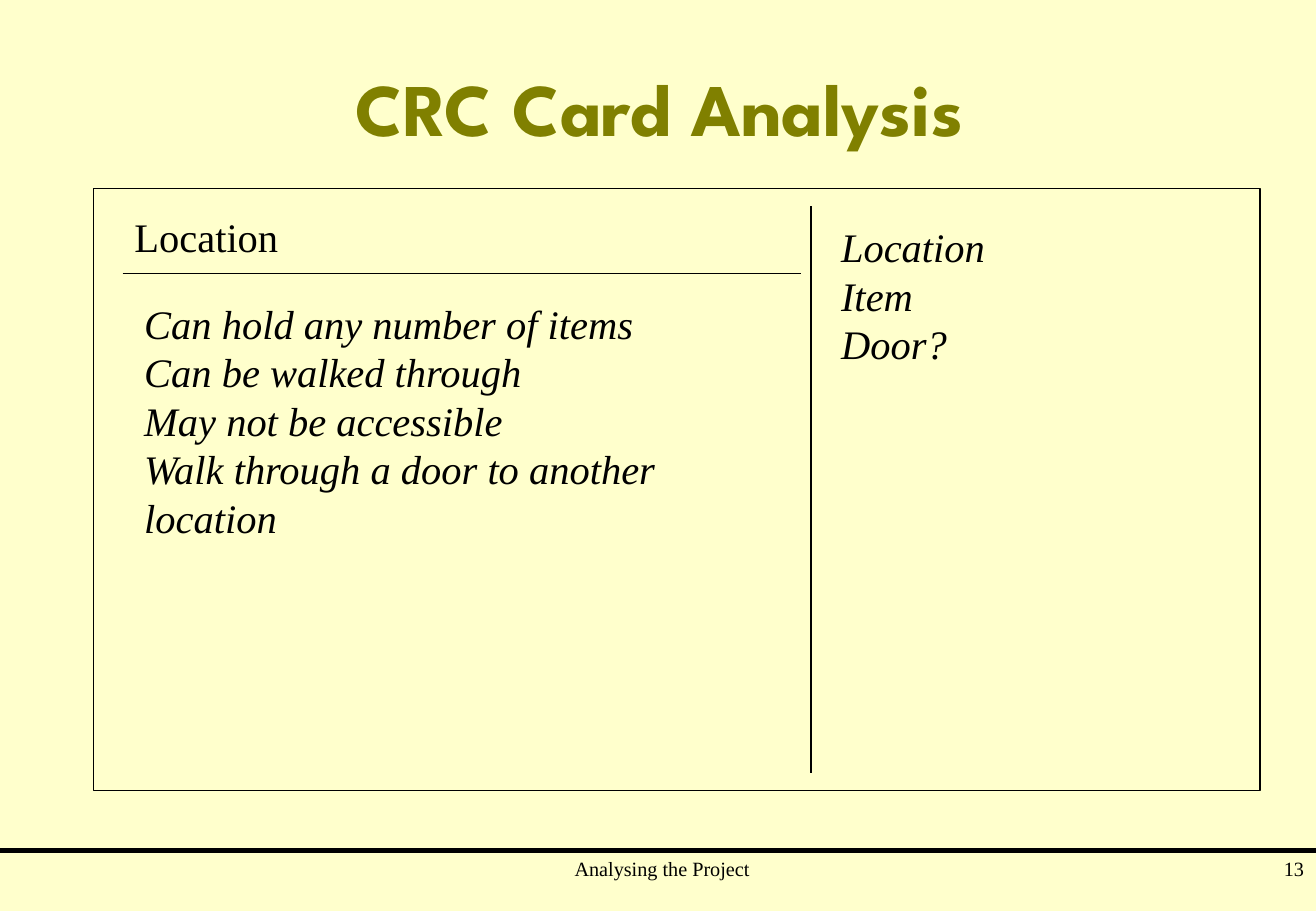
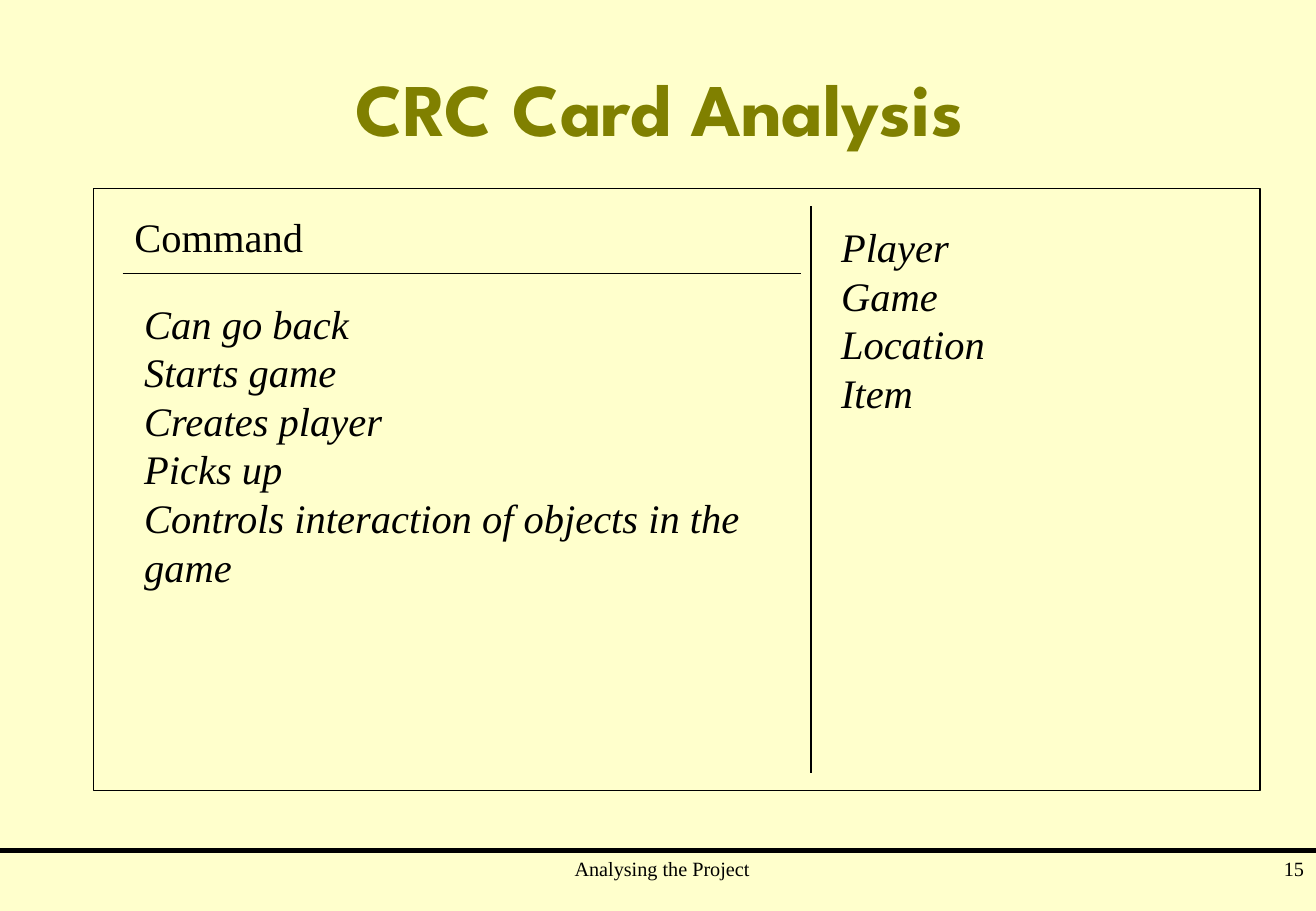
from lxml import etree
from pptx import Presentation
from pptx.dml.color import RGBColor
from pptx.enum.shapes import MSO_CONNECTOR, MSO_SHAPE
from pptx.enum.text import MSO_ANCHOR, PP_ALIGN
from pptx.oxml.ns import qn
from pptx.util import Inches, Pt

STRAIGHT = MSO_CONNECTOR.STRAIGHT
RECTANGLE = MSO_SHAPE.RECTANGLE
TOP, MIDDLE = MSO_ANCHOR.TOP, MSO_ANCHOR.MIDDLE
LEFT, CENTER, RIGHT = PP_ALIGN.LEFT, PP_ALIGN.CENTER, PP_ALIGN.RIGHT

CREAM = RGBColor(0xFF, 0xFF, 0xCC)
OLIVE = RGBColor(0x80, 0x80, 0x00)
BLACK = RGBColor(0x00, 0x00, 0x00)

SLIDE_WIDTH, SLIDE_HEIGHT = 10.84, 7.5
TITLE_BOX = (0.83, 0.25, 9.21, 1.25)
CARD_BOX = (0.77, 1.55, 9.61, 4.96)
FOOTER_BOX = (0, 7, SLIDE_WIDTH, 0.5)

SERIF = "Times New Roman"
TITLE_FONT = {"name": "League Spartan", "size": Pt(44), "bold": True}
NAME_FONT = {"name": SERIF, "size": Pt(24)}
LIST_FONT = {**NAME_FONT, "italic": True}
FOOTER_FONT = {"name": SERIF, "size": Pt(12)}

TITLE = "CRC Card Analysis"
FOOTER = "Analysing the Project"
CARDS = [
    {
        "number": 13,
        "name": "Location",
        "duties": [
            "Can hold any number of items",
            "Can be walked through",
            "May not be accessible",
            "Walk through a door to another location",
        ],
        "partners": ["Location", "Item", "Door?"],
    },
    {
        "number": 15,
        "name": "Command",
        "duties": [
            "Can go back",
            "Starts game",
            "Creates player",
            "Picks up",
            "Controls interaction of objects in the game",
        ],
        "partners": ["Player", "Game", "Location", "Item"],
    },
]


def add_text(page, box, lines, font, color=BLACK, align=LEFT, anchor=TOP):
    """Place a wrapped text box with one paragraph per line."""
    frame = page.shapes.add_textbox(*map(Inches, box)).text_frame
    frame.word_wrap = True
    frame.vertical_anchor = anchor
    for index, line in enumerate(lines):
        para = frame.add_paragraph() if index else frame.paragraphs[0]
        para.alignment = align
        span = para.add_run()
        span.text = line
        span.font.color.rgb = color
        for key, value in font.items():
            setattr(span.font, key, value)


def add_rule(page, start, end, weight=0.75):
    """Draw a plain black line between two points."""
    rule = page.shapes.add_connector(STRAIGHT, *map(Inches, start + end))
    rule.line.color.rgb = BLACK
    rule.line.width = Pt(weight)
    etree.SubElement(rule._element.spPr, qn("a:effectLst"))


def add_footer(page, box, number):
    """Draw the band line with the footer text and the page number."""
    left, top, width, height = box
    add_rule(page, (left, top), (left + width, top), 3)
    add_text(page, (left + 3.49, top, 3.93, height), [FOOTER], FOOTER_FONT, align=CENTER)
    add_text(page, (left + width - 2.26, top, 2.26, height), [str(number)],
             FOOTER_FONT, align=RIGHT)


def add_card(page, box, card):
    """Draw a card with its name, duties and partners inside the box."""
    left, top, width, height = box
    frame = page.shapes.add_shape(RECTANGLE, *map(Inches, box))
    frame.shadow.inherit = False
    frame.fill.solid()
    frame.fill.fore_color.rgb = CREAM
    frame.line.color.rgb = BLACK
    frame.line.width = Pt(0.75)

    divider, inset = left + 5.91, 0.15
    name_left, name_line = left + 0.24, top + 0.7
    add_rule(page, (divider, top + inset), (divider, top + height - inset))
    add_rule(page, (name_left, name_line), (divider - 0.08, name_line))
    add_text(page, (name_left, top + inset, 5.3, 0.5), [card["name"]], NAME_FONT)
    add_text(page, (left + 0.32, top + 0.86, 5.3, 2.5), card["duties"], LIST_FONT)
    add_text(page, (divider + inset, top + 0.23, 3.3, 1.7), card["partners"], LIST_FONT)


def add_card_page(deck, card):
    """Add one slide with the shared title and footer around a card."""
    page = deck.slides.add_slide(deck.slide_layouts[6])
    add_text(page, TITLE_BOX, [TITLE], TITLE_FONT, OLIVE, CENTER, MIDDLE)
    add_card(page, CARD_BOX, card)
    add_footer(page, FOOTER_BOX, card["number"])


def main():
    """Build the deck and save it."""
    deck = Presentation()
    deck.slide_width = Inches(SLIDE_WIDTH)
    deck.slide_height = Inches(SLIDE_HEIGHT)
    backdrop = deck.slide_master.background.fill
    backdrop.solid()
    backdrop.fore_color.rgb = CREAM
    for card in CARDS:
        add_card_page(deck, card)
    deck.save("out.pptx")


if __name__ == "__main__":
    main()
